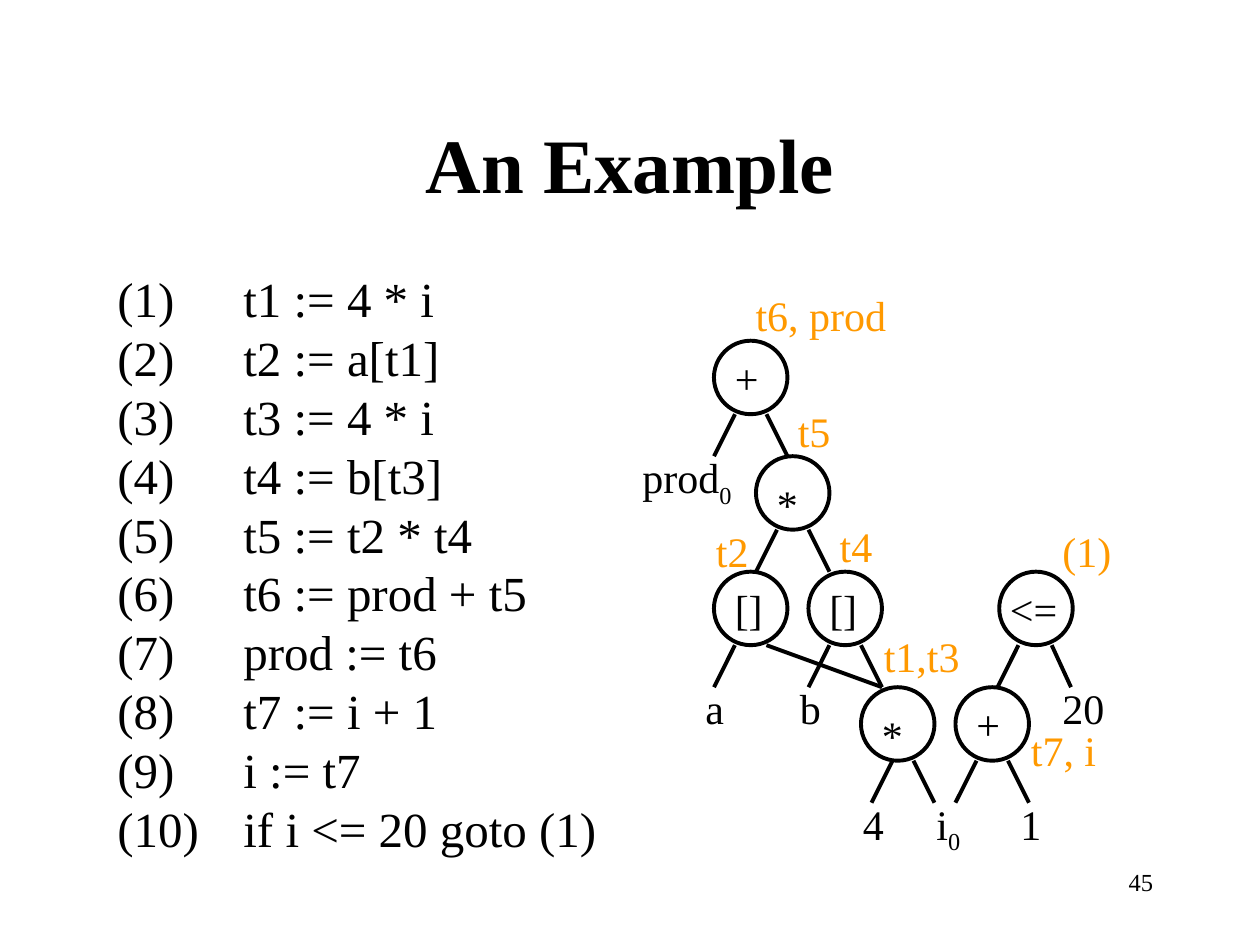
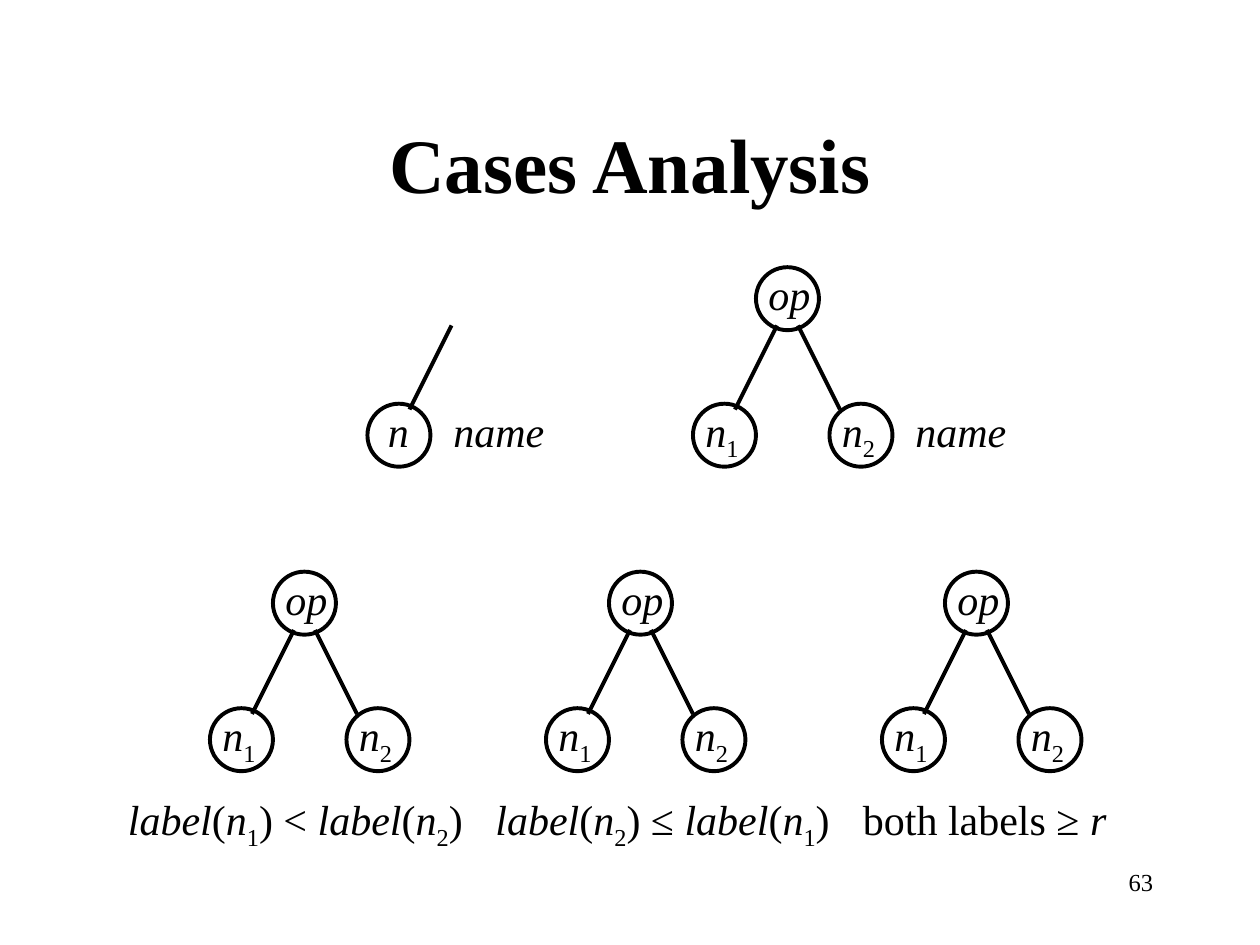
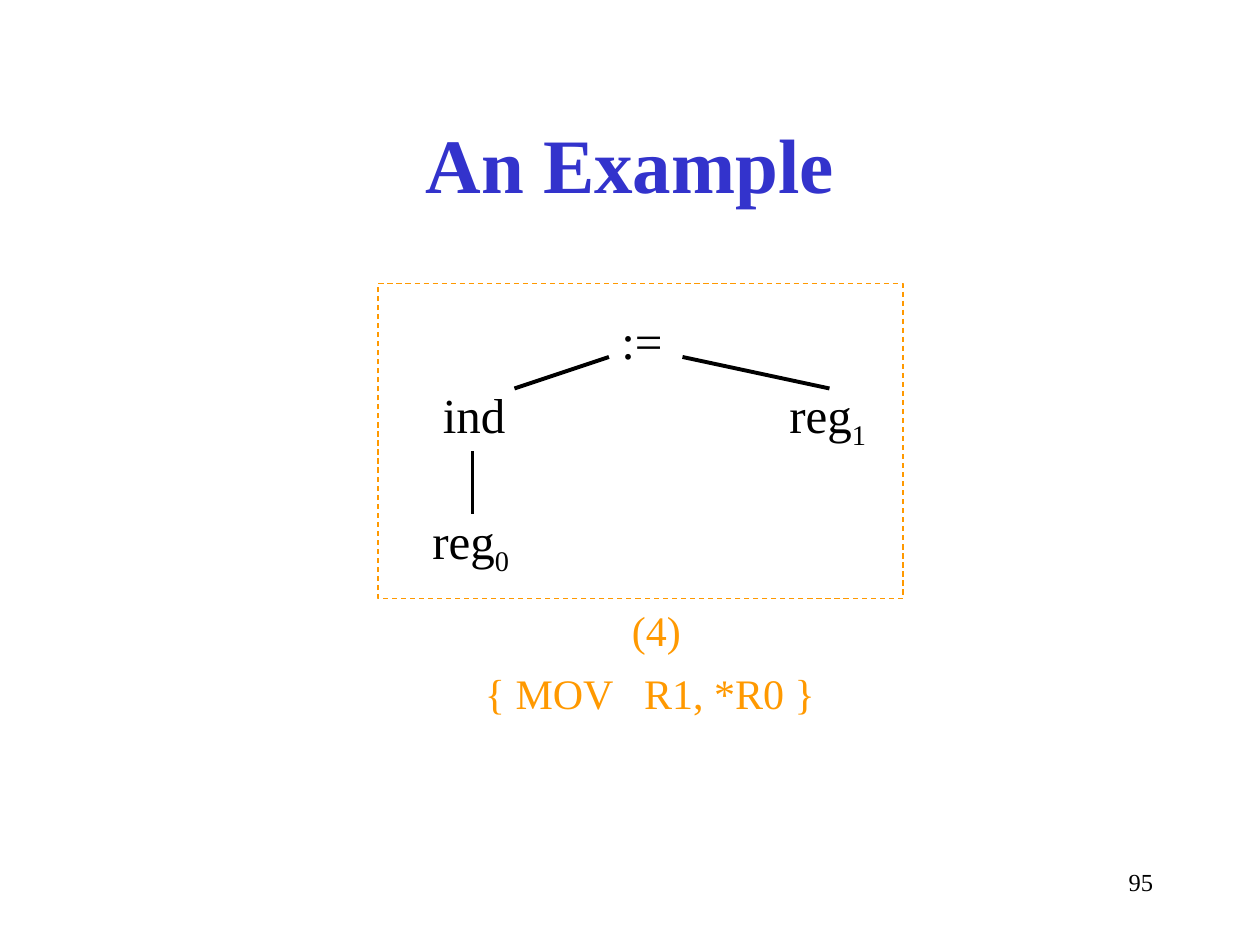
from pptx import Presentation
from pptx import util as u
from pptx.dml.color import RGBColor
from pptx.enum import dml, shapes, text
from pptx.oxml.ns import qn
from lxml import etree

Pt = u.Pt
COLORS = {"ink": "000000", "accent": "FF9900", "blue": "3333CC"}
FONT = "Times New Roman"
SUBSCRIPT = "-25000"

presentation = Presentation()
presentation.slide_width = Pt(720)
presentation.slide_height = Pt(540)


def add_text(slide, left, top, width, height, paragraphs, size=24, color="ink",
             bold=False, italic=False, align=None, wrap=False, tab=None):
    box = slide.shapes.add_textbox(Pt(left), Pt(top), Pt(width), Pt(height))
    frame = box.text_frame
    frame.word_wrap = wrap
    if not wrap:
        frame.auto_size = text.MSO_AUTO_SIZE.SHAPE_TO_FIT_TEXT
    for index, runs in enumerate(paragraphs):
        paragraph = frame.paragraphs[0] if index == 0 else frame.add_paragraph()
        if align:
            paragraph.alignment = align
        if tab:
            properties = paragraph._p.get_or_add_pPr()
            tabs = etree.SubElement(properties, qn("a:tabLst"))
            etree.SubElement(tabs, qn("a:tab"), pos=str(int(Pt(tab))), algn="l")
        paragraph.font.name = FONT
        paragraph.font.size = Pt(size)
        paragraph.font.bold = bold
        paragraph.font.color.rgb = RGBColor.from_string(COLORS[color])
        runs = [(runs, "italic" if italic else "")] if isinstance(runs, str) else runs
        for words, style in runs:
            run = paragraph.add_run()
            run.text = words
            if style == "italic":
                run.font.italic = True
            elif style == "sub":
                run.font._element.set("baseline", SUBSCRIPT)
    return box


def add_drawing(slide, kind, left, top, right, bottom, color="ink", weight=2.25):
    if kind == "line":
        drawing = slide.shapes.add_connector(
            shapes.MSO_CONNECTOR.STRAIGHT, Pt(left), Pt(top), Pt(right), Pt(bottom))
        etree.SubElement(drawing._element.spPr, qn("a:effectLst"))
    else:
        drawing = slide.shapes.add_shape(
            kind, Pt(left), Pt(top), Pt(right - left), Pt(bottom - top))
        drawing.shadow.inherit = False
        drawing.fill.background()
    drawing.line.color.rgb = RGBColor.from_string(COLORS[color])
    drawing.line.width = Pt(weight)
    return drawing


OVAL = shapes.MSO_SHAPE.OVAL
slides = []
for title, number, title_color in [("An Example", "45", "ink"),
                                   ("Cases Analysis", "63", "ink"),
                                   ("An Example", "95", "blue")]:
    slide = presentation.slides.add_slide(presentation.slide_layouts[6])
    add_text(slide, 516, 492, 150, 36, [number], size=14,
             align=text.PP_ALIGN.RIGHT, wrap=True)
    title_box = add_text(slide, 54, 48, 612, 90, [title], size=44, color=title_color,
                         bold=True, align=text.PP_ALIGN.CENTER, wrap=True)
    title_box.text_frame.vertical_anchor = text.MSO_ANCHOR.MIDDLE
    slides.append(slide)
dag_slide, cases_slide, pattern_slide = slides

statements = ["t1 := 4 * i", "t2 := a[t1]", "t3 := 4 * i", "t4 := b[t3]",
              "t5 := t2 * t4", "t6 := prod + t5", "prod := t6", "t7 := i + 1",
              "i := t7", "if i <= 20 goto (1)"]
add_text(dag_slide, 60, 150, 289, 343.5,
         [f"({index})\t{statement}" for index, statement in enumerate(statements, 1)],
         size=28, tab=72)

node_size, level_gap = 42, 66
symbol_places = {"+": (4.8, 3, 28.5), "*": (4.8, 9, 27), "[]": (4.8, 3, 31),
                 "<=": (-1, 3, 43)}
for symbol, left, level, left_edge, right_end in [
        ("+", 408, 0, 12, 42), ("*", 432, 1, 12, 42), ("[]", 408, 2, 12, 96),
        ("[]", 462, 2, 12, 42), ("<=", 571, 2, 11, 41), ("*", 492, 3, 18, 42),
        ("+", 546, 3, 12, 42)]:
    top = 194.7 + level * level_gap
    bottom = top + node_size
    shift_x, shift_y, width = symbol_places[symbol]
    add_text(dag_slide, left + shift_x, top + shift_y, width, 36, [symbol])
    add_drawing(dag_slide, OVAL, left, top, left + node_size, bottom)
    add_drawing(dag_slide, "line", left + left_edge, bottom,
                left + left_edge - 12, top + level_gap)
    add_drawing(dag_slide, "line", left + 30, bottom, left + right_end, top + level_gap)

for label, left, top, width, color in [
        ([("prod", ""), ("0", "sub")], 360, 254.7, 66.5, "ink"),
        ("a", 396, 386.7, 25.5, "ink"), ("b", 450, 386.7, 27, "ink"),
        ("20", 600, 386.7, 39, "ink"), ("4", 486, 452.7, 27, "ink"),
        ([("i", ""), ("0", "sub")], 528, 452.7, 29, "ink"), ("1", 576, 452.7, 27, "ink"),
        ("t6, prod", 424.7, 162, 90, "accent"), ("t5", 448.8, 228, 33.5, "accent"),
        ("t2", 402, 296.7, 33.5, "accent"), ("t4", 472.8, 294, 33.5, "accent"),
        ("(1)", 600, 296.7, 43, "accent"), ("t1,t3", 498, 356.5, 58, "accent"),
        ("t7, i", 582, 410.5, 52.5, "accent")]:
    add_text(dag_slide, left, top, width, 36, [label], color=color)

first = [("n", "italic"), ("1", "sub")]
second = [("n", "italic"), ("2", "sub")]
circle_size = 36
for left, top in [(396, 152.7), (120, 326.7), (312, 326.7), (504, 326.7)]:
    for label, shift_x, shift_y, width in [([("op", "italic")], 36, 0, 39),
                                           (first, 0, 78, 35), (second, 78, 78, 35)]:
        x, y = left + shift_x, top + shift_y
        add_text(cases_slide, x, y - 2.7, width, 36, [label])
        add_drawing(cases_slide, OVAL, x, y, x + circle_size, y + circle_size)
    for start, end in [(48, 24), (60, 84)]:
        add_drawing(cases_slide, "line", left + start, top + 33.3, left + end, top + 81.3)

add_text(cases_slide, 214.5, 228, 27, 36, ["n"], italic=True)
add_drawing(cases_slide, OVAL, 210, 230.7, 210 + circle_size, 230.7 + circle_size)
add_drawing(cases_slide, "line", 258, 186, 234, 234)
for left in (252, 516):
    add_text(cases_slide, left, 228, 67, 36, ["name"], italic=True)

for left, width, small, relation, large in [(66, 208.5, first, "<", second),
                                            (276, 208, second, "≤", first)]:
    comparison = [("label", "italic"), ("(", ""), *small, (f") {relation} ", ""),
                  ("label", "italic"), ("(", ""), *large, (")", "")]
    add_text(cases_slide, left, 450, width, 36, [comparison])
add_text(cases_slide, 486, 450, 154, 36, [[("both labels ≥ ", ""), ("r", "italic")]])

for label, left, top, width in [(":=", 348, 174, 38.5), ("ind", 246, 216, 51),
                                ([("reg", ""), ("1", "sub")], 444, 216, 60),
                                ([("reg", ""), ("0", "sub")], 240, 288, 60)]:
    add_text(pattern_slide, left, top, width, 41, [label], size=28)
for ends in [(348, 204, 294, 222), (390, 204, 474, 222), (270, 258, 270, 294)]:
    add_drawing(pattern_slide, "line", *ends)
frame_box = add_drawing(pattern_slide, shapes.MSO_SHAPE.RECTANGLE, 216, 162, 516, 342,
                        color="accent", weight=0.75)
frame_box.line.dash_style = dml.MSO_LINE.DASH
add_text(pattern_slide, 354, 342, 43, 36, ["(4)"], color="accent")
add_text(pattern_slide, 270, 378, 204, 36, ["{ MOV\tR1, *R0 }"], color="accent", tab=91)

presentation.save("out.pptx")
